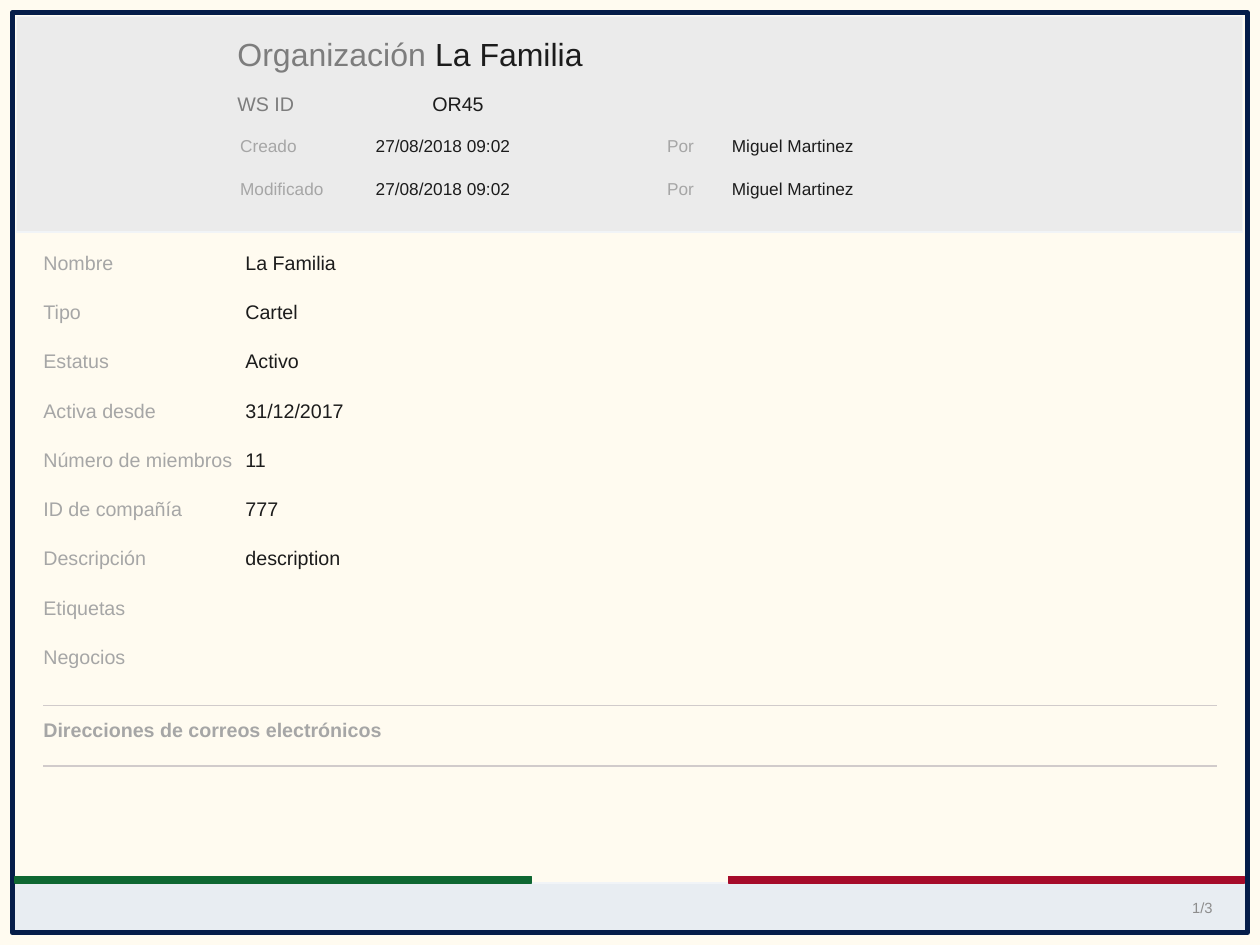
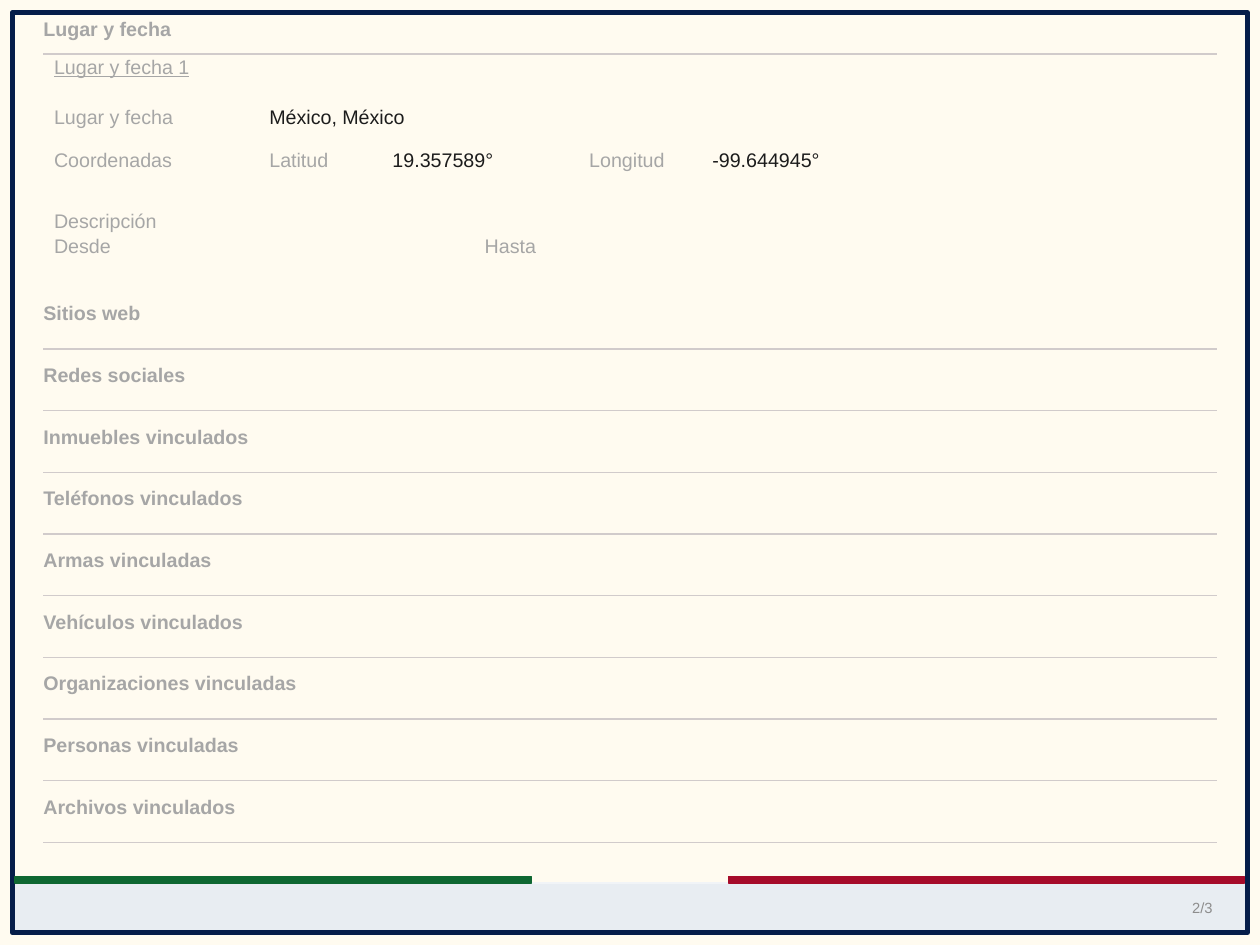
from lxml import etree
from pptx import Presentation
from pptx.dml.color import RGBColor
from pptx.enum.shapes import MSO_CONNECTOR, MSO_SHAPE
from pptx.enum.text import MSO_ANCHOR, PP_ALIGN
from pptx.oxml.ns import qn
from pptx.util import Inches, Pt

FONT = "Arial"
CREAM = RGBColor(0xFF, 0xFB, 0xF0)
NAVY = RGBColor(0x05, 0x1D, 0x49)
GREEN = RGBColor(0x0E, 0x67, 0x32)
RED = RGBColor(0xA6, 0x0B, 0x2A)
FOOTER_FILL = RGBColor(0xE8, 0xED, 0xF2)
HEADER_FILL = RGBColor(0xEB, 0xEB, 0xEB)
PALE_EDGE = RGBColor(0xF1, 0xF4, 0xF7)
RULE = RGBColor(0xD1, 0xCB, 0xCB)
INK = RGBColor(0x1C, 0x1C, 0x1C)
LABEL = RGBColor(0xA6, 0xA6, 0xA6)
HEADING = RGBColor(0x7D, 0x7D, 0x7D)
PAGE_GREY = RGBColor(0x8D, 0x8D, 0x8D)

PAGE_COUNT = 3
LEFT, RIGHT = 0.49, 13.74
TEXT_HEIGHT = 0.42
VALUE_INSET = 0.06
RULE_DROP = 0.54

# left, top, width, height, fill, line, line width
FRAME_PARTS = [
    (0.14, 9.97, 13.92, 0.56, FOOTER_FILL, PALE_EDGE, 1),
    (0.14, 0.14, 13.94, 10.39, None, NAVY, 4),
    (8.22, 9.9, 5.83, 0.07, RED, RED, 1),
    (0.17, 9.9, 5.83, 0.07, GREEN, GREEN, 1),
]
HEADER_BAND = (0.19, 0.19, 13.83, 2.43, HEADER_FILL, PALE_EDGE, 1)

# text, left, top, width, height, size, colour
HEADER_TITLES = [
    ("Organización", 2.62, 0.39, 2.22, 0.65, 26, HEADING),
    ("La Familia", 4.85, 0.39, 8.75, 0.65, 26, INK),
    ("WS ID", 2.62, 1.04, 1.1, TEXT_HEIGHT, 16, HEADING),
    ("OR45", 4.82, 1.04, 3.1, TEXT_HEIGHT, 16, INK),
]
# left, width, colour
AUDIT_COLUMNS = [(2.71, 1.53, LABEL), (4.24, 2.78, INK), (7.53, 0.74, LABEL), (8.26, 5.5, INK)]
AUDIT_ROWS = [
    (1.53, ["Creado", "27/08/2018 09:02", "Por", "Miguel Martinez"]),
    (2.01, ["Modificado", "27/08/2018 09:02", "Por", "Miguel Martinez"]),
]
FIELDS = [
    ("Nombre", "La Familia"),
    ("Tipo", "Cartel"),
    ("Estatus", "Activo"),
    ("Activa desde", "31/12/2017"),
    ("Número de miembros", "11"),
    ("ID de compañía", "777"),
    ("Descripción", "description"),
    ("Etiquetas", ""),
    ("Negocios", ""),
]
FIRST_FIELD, LAST_FIELD = 2.83, 7.28

# text, left, top, width, format
PLACE_TEXTS = [
    ("Lugar y fecha 1", 0.61, 0.62, 2.22, {"underline": True}),
    ("Lugar y fecha", 0.61, 1.18, 2.22, {}),
    ("México, México", 3.04, 1.18, 9.44, {"color": INK}),
    ("Coordenadas", 0.61, 1.67, 2.22, {}),
    ("Latitud", 3.04, 1.67, 1.39, {}),
    ("19.357589°", 4.43, 1.67, 1.67, {"color": INK}),
    ("Longitud", 6.65, 1.67, 1.39, {}),
    ("-99.644945°", 8.04, 1.67, 1.67, {"color": INK}),
    ("Descripción", 0.61, 2.36, 2.22, {}),
    ("Desde", 0.61, 2.64, 2.22, {}),
    ("Hasta", 5.47, 2.64, 2.22, {}),
]
SECTIONS = [
    "Sitios web",
    "Redes sociales",
    "Inmuebles vinculados",
    "Teléfonos vinculados",
    "Armas vinculadas",
    "Vehículos vinculados",
    "Organizaciones vinculadas",
    "Personas vinculadas",
    "Archivos vinculados",
]
FIRST_RULE, LAST_RULE = 3.94, 9.51


def spread(first, last, count):
    """Return count evenly spaced positions from first to last."""
    return [first + (last - first) * index / (count - 1) for index in range(count)]


def add_box(slide, left, top, width, height, fill, line, line_width):
    shape = slide.shapes.add_shape(
        MSO_SHAPE.RECTANGLE, Inches(left), Inches(top), Inches(width), Inches(height))
    shape.shadow.inherit = False
    if fill is None:
        shape.fill.background()
    else:
        shape.fill.solid()
        shape.fill.fore_color.rgb = fill
    shape.line.color.rgb = line
    shape.line.width = Pt(line_width)


def add_text(slide, text, left, top, width, height=TEXT_HEIGHT, size=16, color=LABEL,
             inset=0, anchor=MSO_ANCHOR.TOP, align=PP_ALIGN.LEFT, **font_format):
    box = slide.shapes.add_textbox(Inches(left), Inches(top), Inches(width), Inches(height))
    frame = box.text_frame
    frame_format = {"word_wrap": True, "vertical_anchor": anchor, "margin_left": Inches(inset),
                    "margin_top": 0, "margin_right": 0, "margin_bottom": 0}
    for name, value in frame_format.items():
        setattr(frame, name, value)
    paragraph = frame.paragraphs[0]
    paragraph.alignment = align
    run = paragraph.add_run()
    run.text = text
    run.font.color.rgb = color
    for name, value in {"name": FONT, "size": Pt(size), **font_format}.items():
        setattr(run.font, name, value)


def add_section(slide, title, rule_top, drop=RULE_DROP):
    """Add a bold title with a full-width rule, drop inches below the title's top."""
    add_text(slide, title, LEFT, rule_top - drop, 8.36, bold=True)
    rule = slide.shapes.add_connector(
        MSO_CONNECTOR.STRAIGHT, Inches(LEFT), Inches(rule_top), Inches(RIGHT), Inches(rule_top))
    rule.line.color.rgb = RULE
    rule.line.width = Pt(1)
    etree.SubElement(rule._element.spPr, qn("a:effectLst"))


def add_page(presentation, number):
    """Add a slide with the shared background, frame, stripes and page number."""
    slide = presentation.slides.add_slide(presentation.slide_layouts[6])
    slide.background.fill.solid()
    slide.background.fill.fore_color.rgb = CREAM
    for part in FRAME_PARTS:
        add_box(slide, *part)
    add_text(slide, f"{number}/{PAGE_COUNT}", 13.25, 10.03, 0.64, 0.44, 12, PAGE_GREY,
             anchor=MSO_ANCHOR.MIDDLE, align=PP_ALIGN.CENTER)
    return slide


def build_organization(presentation):
    slide = add_page(presentation, 1)
    add_box(slide, *HEADER_BAND)
    for title in HEADER_TITLES:
        add_text(slide, *title, inset=VALUE_INSET)
    for top, texts in AUDIT_ROWS:
        for text, (left, width, color) in zip(texts, AUDIT_COLUMNS):
            add_text(slide, text, left, top, width, size=14, color=color)
    for (label, value), top in zip(FIELDS, spread(FIRST_FIELD, LAST_FIELD, len(FIELDS))):
        add_text(slide, label, LEFT, top, 2.22)
        if value:
            add_text(slide, value, 2.71, top, 10.81, color=INK, inset=VALUE_INSET)
    add_section(slide, "Direcciones de correos electrónicos", 8.65)
    add_section_top_rule = 7.97
    rule = slide.shapes.add_connector(
        MSO_CONNECTOR.STRAIGHT, Inches(LEFT), Inches(add_section_top_rule),
        Inches(RIGHT), Inches(add_section_top_rule))
    rule.line.color.rgb = RULE
    rule.line.width = Pt(1)
    etree.SubElement(rule._element.spPr, qn("a:effectLst"))


def build_links(presentation):
    slide = add_page(presentation, 2)
    add_section(slide, "Lugar y fecha", 0.61, TEXT_HEIGHT)
    for text, left, top, width, text_format in PLACE_TEXTS:
        add_text(slide, text, left, top, width, **text_format)
    for title, rule_top in zip(SECTIONS, spread(FIRST_RULE, LAST_RULE, len(SECTIONS))):
        add_section(slide, title, rule_top)


def main():
    presentation = Presentation()
    presentation.slide_width = Inches(14.22)
    presentation.slide_height = Inches(10.67)
    build_organization(presentation)
    build_links(presentation)
    presentation.save("out.pptx")


if __name__ == "__main__":
    main()
